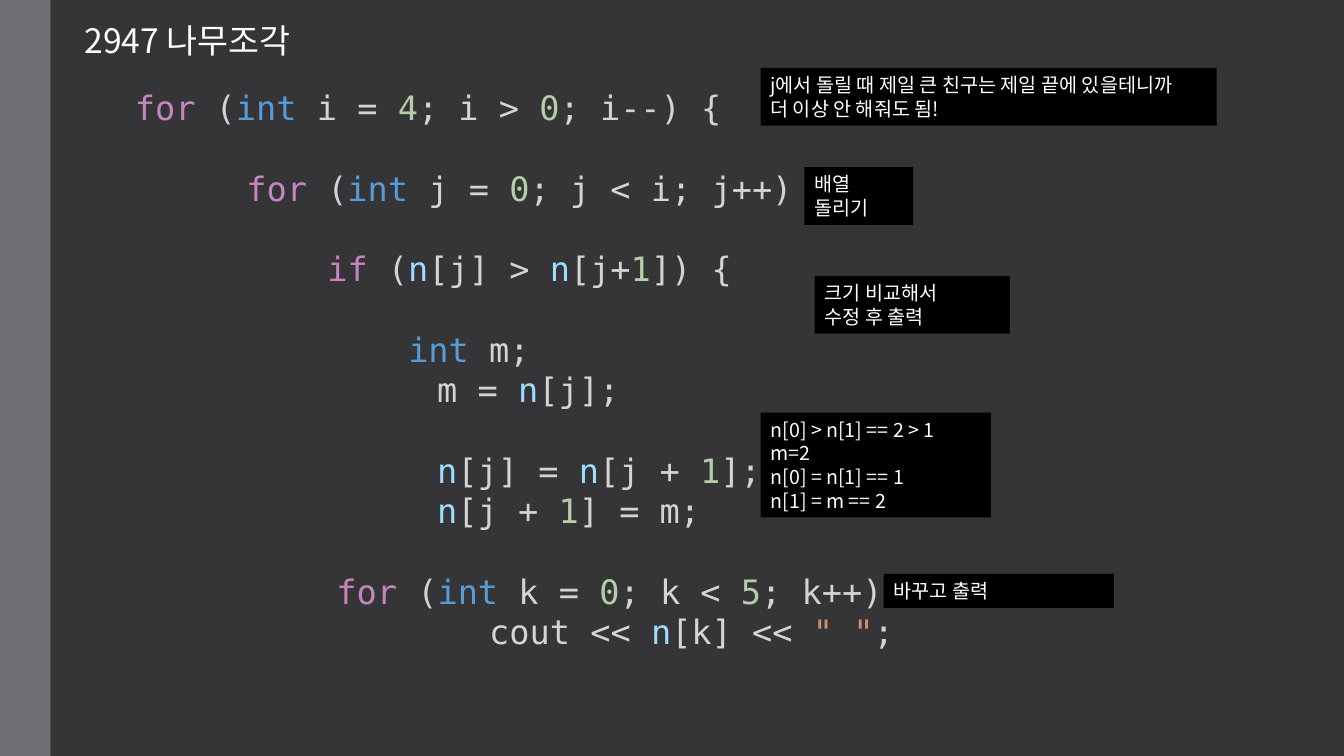
from lxml import etree
from pptx import Presentation
from pptx.dml.color import RGBColor
from pptx.enum.shapes import MSO_SHAPE
from pptx.enum.text import MSO_ANCHOR, MSO_AUTO_SIZE, PP_ALIGN
from pptx.oxml.ns import qn
from pptx.util import Cm, Pt

BACKGROUND = RGBColor(0x35, 0x35, 0x37)
SIDEBAR = RGBColor(0x6F, 0x6F, 0x74)
BLACK = RGBColor(0, 0, 0)
WHITE = RGBColor(0xFF, 0xFF, 0xFF)
PLAIN = RGBColor(0xD4, 0xD4, 0xD4)
CONTROL = RGBColor(0xC5, 0x86, 0xC0)
TYPE = RGBColor(0x56, 0x9C, 0xD6)
VARIABLE = RGBColor(0x9C, 0xDC, 0xFE)
NUMBER = RGBColor(0xB5, 0xCE, 0xA8)
STRING = RGBColor(0xCE, 0x91, 0x78)

TOKEN_COLOURS = {
    "for": CONTROL, "if": CONTROL, "int": TYPE, "n": VARIABLE,
    "0": NUMBER, "1": NUMBER, "4": NUMBER, "5": NUMBER, '" "': STRING,
}
TEXT_FONT = "Noto Sans CJK KR"
CODE_FONT = "DejaVu Sans Mono"
TAB, COLUMN = 1.27, 0.51  # cm per tab stop and per code character
CODE_SIZE = 24
LEADING = 1.2


def set_frame(box):
    """Give a text box the common insets, wrapping and anchor."""
    frame = box.text_frame
    frame.word_wrap = True
    frame.auto_size = MSO_AUTO_SIZE.NONE
    frame.vertical_anchor = MSO_ANCHOR.TOP
    frame.margin_left = frame.margin_right = Cm(0.25)
    frame.margin_top = frame.margin_bottom = Cm(0.13)
    return frame


def style(para, size, font, colour):
    """Format the runs of a paragraph and its line spacing."""
    para.alignment = PP_ALIGN.LEFT
    para.line_spacing = Pt(size * LEADING)
    for span in para.runs:
        span.font.size = Pt(size)
        span.font.name = font
        span.font.color.rgb = colour
        east_asian = etree.SubElement(span.font._element, qn("a:ea"))
        east_asian.set("typeface", font)


deck = Presentation()
deck.slide_width, deck.slide_height = Cm(33.87), Cm(19.05)
page = deck.slides.add_slide(deck.slide_layouts[5])
page.background.fill.solid()
page.background.fill.fore_color.rgb = BACKGROUND

sidebar = page.shapes.add_shape(MSO_SHAPE.RECTANGLE, 0, 0, Cm(1.27), deck.slide_height)
sidebar.shadow.inherit = False
sidebar.fill.solid()
sidebar.fill.fore_color.rgb = SIDEBAR
sidebar.line.fill.background()

title = page.shapes.title
title.left, title.top, title.width, title.height = Cm(1.88), Cm(0.36), Cm(12.9), Cm(1.28)
set_frame(title).text = "2947 나무조각"
style(title.text_frame.paragraphs[0], 24, TEXT_FONT, WHITE)

# Indent in cm, empty lines above, tokens split by "|"
code_lines = [
    (1 * TAB, 0, "for| (|int| i = |4|; i > |0|; i--) {"),
    (8 * COLUMN, 1, "for| (|int| j = |0|; j < i; j++) {"),
    (12 * COLUMN, 1, "if| (|n|[j] > |n|[j+|1|]) {"),
    (16 * COLUMN, 1, "int| m;"),
    (7 * TAB, 0, "m = |n|[j];"),
    (7 * TAB, 1, "n|[j] = |n|[j + |1|];"),
    (7 * TAB, 0, "n|[j + |1|] = m;"),
    (5 * TAB, 1, "for| (|int| k = |0|; k < |5|; k++)"),
    (20 * COLUMN, 0, 'cout << |n|[k] << |" "|;'),
]
code = page.shapes.add_textbox(Cm(1.88), Cm(2.06), Cm(26.6), Cm(14.63))
frame = set_frame(code)
for number, (indent, gap, line) in enumerate(code_lines):
    para = frame.add_paragraph() if number else frame.paragraphs[0]
    para._p.get_or_add_pPr().set("marL", str(Cm(indent)))
    para.space_before = Pt(gap * CODE_SIZE * LEADING)
    tokens = line.split("|")
    for token in tokens:
        para.add_run().text = token
    style(para, CODE_SIZE, CODE_FONT, PLAIN)
    for span, token in zip(para.runs, tokens):
        span.font.color.rgb = TOKEN_COLOURS.get(token, PLAIN)

# Left, top, width, height in cm, then the text
notes = [
    (20.27, 4.21, 2.74, 1.46, "배열 돌리기"),
    (20.53, 6.95, 4.92, 1.46, "크기 비교해서\n수정 후 출력"),
    (19.17, 10.4, 5.8, 2.64, "n[0] > n[1] == 2 > 1\nm=2\nn[0] = n[1] == 1\nn[1] = m == 2"),
    (22.27, 14.46, 5.8, 0.86, "바꾸고 출력"),
    (19.17, 1.71, 11.49, 1.46,
     "j에서 돌릴 때 제일 큰 친구는 제일 끝에 있을테니까\n더 이상 안 해줘도 됨!"),
]
for left, top, width, height, text in notes:
    note = page.shapes.add_shape(
        MSO_SHAPE.RECTANGLE, Cm(left), Cm(top), Cm(width), Cm(height))
    note.shadow.inherit = False
    note.fill.solid()
    note.fill.fore_color.rgb = BLACK
    note.line.fill.background()
    frame = set_frame(note)
    frame.text = text
    for para in frame.paragraphs:
        style(para, 14, TEXT_FONT, WHITE)

deck.save("out.pptx")
